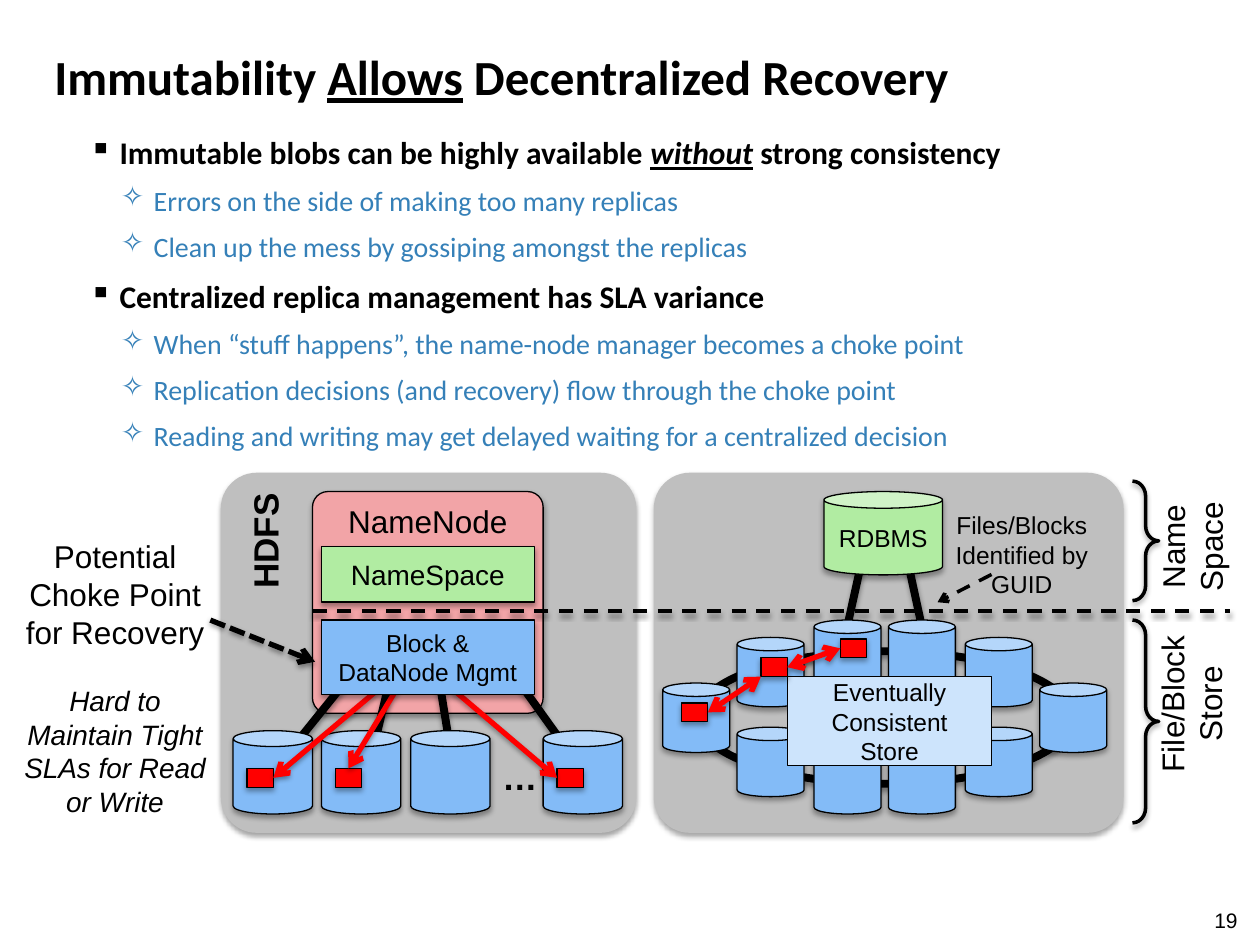
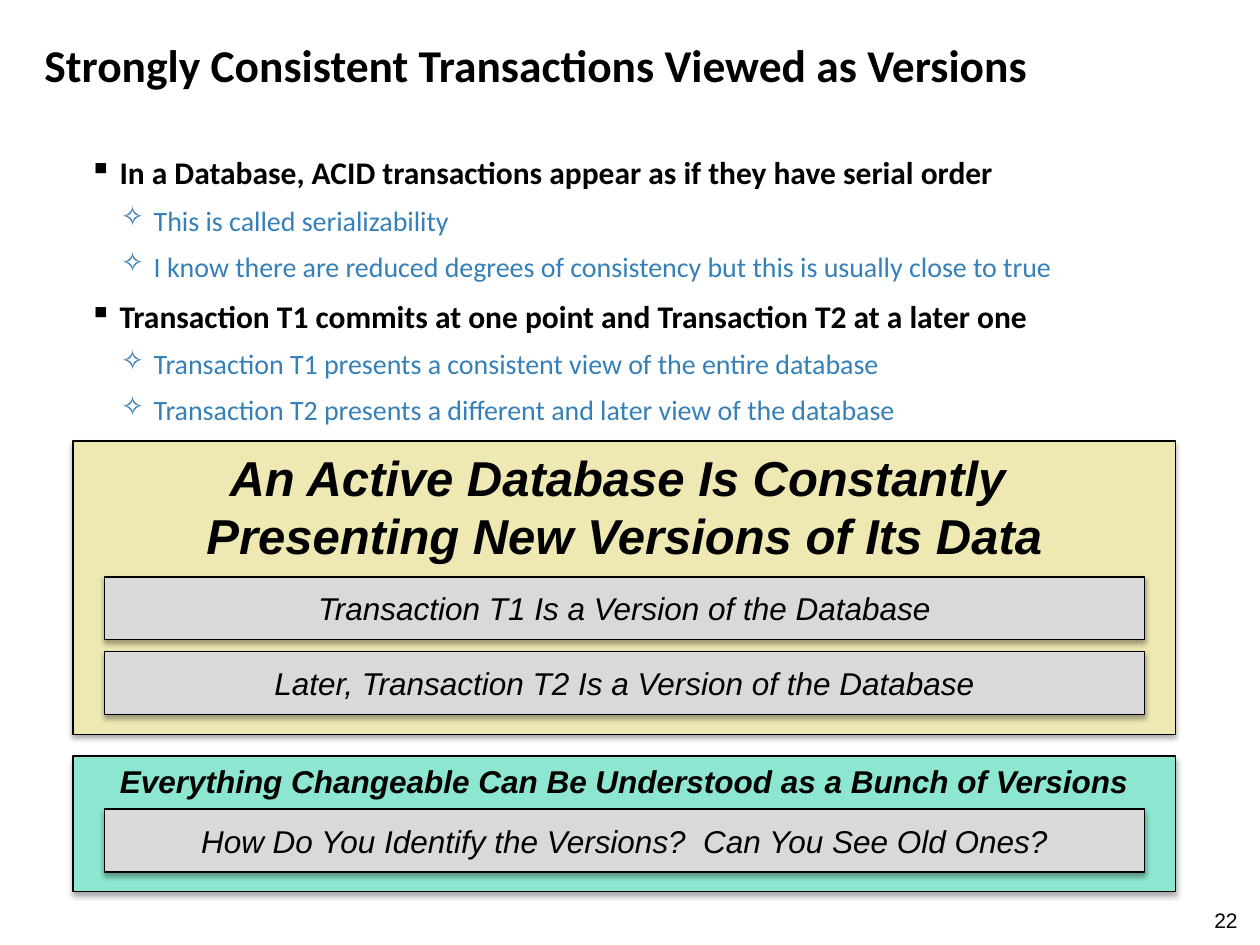
"""Build two slides on immutable storage and versioned databases."""
from lxml.etree import SubElement
from pptx import Presentation
from pptx.dml.color import RGBColor
from pptx.enum.dml import MSO_LINE as Dash
from pptx.enum.shapes import MSO_CONNECTOR as Link, MSO_SHAPE as Shape
from pptx.enum.text import MSO_ANCHOR as Anchor, PP_ALIGN as Align
from pptx.oxml.ns import qn
from pptx.util import Cm, Pt

BLACK = RGBColor(0x00, 0x00, 0x00)
STEEL = RGBColor(0x35, 0x80, 0xB8)
RED = RGBColor(0xFF, 0x00, 0x00)
GRAY = RGBColor(0xBF, 0xBF, 0xBF)
SILVER = RGBColor(0xD9, 0xD9, 0xD9)
BLUE = RGBColor(0x83, 0xBB, 0xF7)
PALE_BLUE = RGBColor(0xCD, 0xE4, 0xFC)
GREEN = RGBColor(0xB1, 0xEC, 0xA2)
PINK = RGBColor(0xF2, 0xA4, 0xA7)
YELLOW = RGBColor(0xEE, 0xE9, 0xB3)
TEAL = RGBColor(0x8C, 0xE6, 0xD0)

TOP, LEFT, RIGHT = 0, 1, 3
HEADING_FONT, LABEL_FONT = "Calibri", "Arial"
OUTLINE_LEVELS = (
    {"bullet": "▪", "margin": 0.61, "hang": 0.61, "size": 18, "color": BLACK, "bold": True},
    {"bullet": "✧", "margin": 1.3, "hang": 0.66, "size": 16, "color": STEEL, "bold": False},
)


class SlideBuilder:
    """Hold the shared style and the slide being drawn."""

    def __init__(self, deck):
        self.deck = deck
        self.page = None

    def start(self, title, place, size, number, emphasis=""):
        """Add a slide with its title and slide number."""
        self.page = self.deck.slides.add_slide(self.deck.slide_layouts[5])
        box = self.page.shapes.title
        box.left, box.top, box.width, box.height = map(Cm, place)
        box.text_frame.vertical_anchor = Anchor.MIDDLE
        para = box.text_frame.paragraphs[0]
        para.alignment = Align.LEFT
        self.add_spans(para, title, emphasis, HEADING_FONT, size, bold=True)
        self.label(str(number), (22.23, 18.03, 2.97, 1.02), 12, align=Align.RIGHT)

    def add_spans(self, para, text, emphasis, font, size, color=BLACK, bold=False,
                  slanted=False):
        """Fill a paragraph, underlining the emphasised word."""
        for part in text.partition(emphasis) if emphasis else (text,):
            span = para.add_run()
            span.text = part
            self.style(span, font, size, color, bold)
            if part == emphasis:
                span.font.underline = True
                span.font.italic = slanted

    def style(self, span, font, size, color=BLACK, bold=False, italic=False):
        """Format one run."""
        span.font.name = font
        span.font.size = Pt(size)
        span.font.color.rgb = color
        span.font.bold = bold
        span.font.italic = italic

    def outline(self, top, lines):
        """Add the two-level bullet list."""
        frame = self.page.shapes.add_textbox(Cm(1.42), Cm(top), Cm(22.71), Cm(15.24)).text_frame
        frame.word_wrap = True
        frame.margin_left = frame.margin_right = Cm(0.38)
        frame.margin_top = frame.margin_bottom = Cm(0.2)
        for index, (depth, text, *emphasis) in enumerate(lines):
            para = frame.add_paragraph() if index else frame.paragraphs[0]
            level = OUTLINE_LEVELS[depth]
            para.level = depth
            props = para._p.get_or_add_pPr()
            props.set("marL", str(Cm(level["margin"])))
            props.set("indent", str(-Cm(level["hang"])))
            SubElement(props, qn("a:buChar"), char=level["bullet"])
            para.line_spacing = 1.2
            if index:
                para.space_before = Pt(level["size"] * 0.2)
            self.add_spans(para, text, "".join(emphasis), HEADING_FONT, level["size"],
                           level["color"], level["bold"], slanted=True)

    def fill_text(self, box, text, size, bold=False, italic=False,
                  align=Align.CENTER, anchor=Anchor.MIDDLE):
        """Set and format the text of a box."""
        frame = box.text_frame
        frame.word_wrap = True
        frame.vertical_anchor = anchor
        frame.text = text
        para = frame.paragraphs[0]
        para.alignment = align
        for span in para.runs:
            self.style(span, LABEL_FONT, size, BLACK, bold, italic)

    def label(self, text, place, size, turned=False, **look):
        """Add a plain text box, optionally reading upwards."""
        box = self.page.shapes.add_textbox(*map(Cm, place))
        box.rotation = 270 if turned else 0
        self.fill_text(box, text, size, **look)

    def effects(self, item, shadow, opacity, distance):
        """Set a soft shadow below an element, or none."""
        effects = SubElement(item._element.spPr, qn("a:effectLst"))
        if shadow:
            outer = SubElement(effects, qn("a:outerShdw"), blurRad=str(Pt(3.1)),
                               dist=str(Pt(distance)), dir="5400000", rotWithShape="0")
            color = SubElement(outer, qn("a:srgbClr"), val=str(BLACK))
            SubElement(color, qn("a:alpha"), val=str(opacity * 1000))

    def shape(self, kind, place, fill=None, line=0.75, adjust=None, shadow=True,
              text="", size=18, **look):
        """Add a preset shape with fill, outline, shadow and text."""
        box = self.page.shapes.add_shape(kind, *map(Cm, place))
        if adjust is not None:
            box.adjustments[0] = adjust
        if fill is None:
            box.fill.background()
        else:
            box.fill.solid()
            box.fill.fore_color.rgb = fill
        if line:
            box.line.color.rgb = BLACK
            box.line.width = Pt(line)
        else:
            box.line.fill.background()
        self.effects(box, shadow, 35, 1.8)
        if text:
            self.fill_text(box, text, size, **look)
        return box

    def can(self, place, fill=BLUE, **look):
        """Add a storage cylinder."""
        self.shape(Shape.CAN, place, fill, adjust=0.2, **look)

    def replica(self, left, top):
        """Add a red replica marker."""
        return self.shape(Shape.RECTANGLE, (left, top, 0.53, 0.38), RED)

    def line(self, start, end, color=BLACK, width=4.5, dash=None, heads="",
             shadow=True, begin=None, finish=None):
        """Add a straight line; begin and finish are (shape, side) joints."""
        line = self.page.shapes.add_connector(Link.STRAIGHT, *map(Cm, (*start, *end)))
        if begin:
            line.begin_connect(*begin)
        if finish:
            line.end_connect(*finish)
        line.line.color.rgb = color
        line.line.width = Pt(width)
        if dash:
            line.line.dash_style = dash
        for head in heads.split():
            SubElement(line.line._get_or_add_ln(), qn(f"a:{head}"), type="arrow")
        self.effects(line, shadow, 38, 1.6)


def draw_peer_store(builder):
    """Draw the decentralized store on the right."""
    builder.shape(Shape.ROUNDED_RECTANGLE, (13.18, 9.53, 9.47, 7.26), GRAY, line=0, adjust=0.1)
    for foot, head in ((18.72, 18.19), (16.94, 17.48)):
        builder.line((foot, 13.26), (head, 10.82))
    builder.shape(Shape.OVAL, (14.05, 13.13, 7.57, 2.67), line=4.5)
    columns = (13.36, 14.86, 16.41, 17.91, 19.46, 20.96)
    for left, top in zip(columns, (13.77, 14.66, 15.01, 15.01, 14.66, 13.77)):
        builder.can((left, top, 1.35, 1.4))
    for left, top in zip(columns[4:0:-1], (12.85, 12.5, 12.5, 12.85)):
        builder.can((left, top, 1.35, 1.4))
    builder.shape(Shape.RECTANGLE, (15.88, 13.64, 4.11, 1.8), PALE_BLUE, shadow=False,
                  text="Eventually Consistent Store", size=14)
    builder.can((16.61, 9.91, 2.39, 1.68), GREEN, text="RDBMS", size=14)
    builder.label("Files/Blocks Identified by GUID", (18.9, 10.39, 3.4, 1.57), 14)
    builder.line((19.99, 11.58), (18.9, 12.14), width=2, dash=Dash.DASH,
                 heads="tailEnd", shadow=False)


def draw_name_node(builder):
    """Draw the centralized store on the left."""
    builder.shape(Shape.ROUNDED_RECTANGLE, (4.45, 9.53, 8.38, 7.26), GRAY, line=0, adjust=0.1)
    builder.shape(Shape.ROUNDED_RECTANGLE, (6.3, 9.91, 4.65, 4.47), PINK, adjust=0.07,
                  text="NameNode", anchor=Anchor.TOP)
    builder.shape(Shape.RECTANGLE, (6.48, 11.02, 4.29, 1.12), GREEN, text="NameSpace", size=16)
    for foot, head in ((5.41, 7.21), (7.39, 7.92), (9.17, 8.81), (11.84, 10.24)):
        builder.line((foot, 15.67), (head, 13.44))
    for left in (4.7, 6.48, 8.28, 10.95):
        builder.can((left, 14.73, 1.6, 1.68))
    builder.label("…", (9.88, 15.29, 1.07, 0.74), 20, bold=True)
    builder.label("HDFS", (3.94, 10.11, 2.79, 1.6), 20, turned=True, bold=True)


def draw_tiers(builder):
    """Draw the divider and the braces naming the two tiers."""
    builder.line((6.3, 12.32), (24.79, 12.32), width=2, dash=Dash.DASH)
    for text, top, height, place in (
            ("Name Space", 9.7, 2.41, (22.71, 10.13, 2.62, 1.78)),
            ("File/Block Store", 12.5, 4.09, (22.33, 13.21, 3.35, 1.96))):
        builder.shape(Shape.RIGHT_BRACE, (22.83, top, 0.53, height), line=2, adjust=0.57)
        builder.label(text, place, 18, turned=True)


def draw_replication(builder):
    """Draw the replicas and the flows between them."""
    hub = (8.38, 13.26)
    managed = [builder.replica(left, 15.49) for left in (4.98, 6.76, 11.23)]
    for replica, side in zip(managed, (RIGHT, TOP, LEFT)):
        builder.line(hub, hub, RED, 3, heads="tailEnd", finish=(replica, side))
    low, middle, high = [builder.replica(*spot) for spot in
                         ((13.74, 14.17), (15.34, 13.26), (16.94, 12.88))]
    corner = (15.34, 13.64)
    for replica, begin in ((low, None), (middle, (high, LEFT))):
        builder.line(corner, corner, RED, 3, heads="headEnd tailEnd",
                     begin=begin, finish=(replica, RIGHT))


def draw_choke_point(builder):
    """Draw the block manager and the remarks about it."""
    builder.label("Potential Choke Point for Recovery", (0.2, 10.8, 4.24, 2.34), 18)
    builder.line((4.24, 12.5), (6.35, 13.34), width=3, dash=Dash.SQUARE_DOT, heads="tailEnd")
    builder.shape(Shape.RECTANGLE, (6.48, 12.5, 4.29, 1.5), BLUE,
                  text="Block & DataNode Mgmt", size=14)
    builder.label("Hard to Maintain Tight SLAs for Read or Write",
                  (0.2, 13.97, 4.24, 2.34), 16, italic=True)


def recovery_slide(builder):
    """Build the slide on decentralized recovery."""
    builder.start("Immutability Allows Decentralized Recovery",
                  (0.84, 0.43, 22.86, 2.21), 28, 19, "Allows")
    builder.outline(2.34, (
        (0, "Immutable blobs can be highly available without strong consistency", "without"),
        (1, "Errors on the side of making too many replicas"),
        (1, "Clean up the mess by gossiping amongst the replicas"),
        (0, "Centralized replica management has SLA variance"),
        (1, "When “stuff happens”, the name-node manager becomes a choke point"),
        (1, "Replication decisions (and recovery) flow through the choke point"),
        (1, "Reading and writing may get delayed waiting for a centralized decision"),
    ))
    for draw in (draw_peer_store, draw_name_node, draw_tiers, draw_replication,
                 draw_choke_point):
        draw(builder)


def versions_slide(builder):
    """Build the slide on transactions as versions."""
    builder.start("Strongly Consistent Transactions Viewed as Versions",
                  (0.64, 0.2, 24.56, 2.21), 26, 22)
    builder.outline(2.74, (
        (0, "In a Database, ACID transactions appear as if they have serial order"),
        (1, "This is called serializability"),
        (1, "I know there are reduced degrees of consistency but this is usually close to true"),
        (0, "Transaction T1 commits at one point and Transaction T2 at a later one"),
        (1, "Transaction T1 presents a consistent view of the entire database"),
        (1, "Transaction T2 presents a different and later view of the database"),
    ))
    panels = (
        ("An Active Database Is Constantly \vPresenting New Versions of Its Data",
         28, YELLOW, 8.89, 5.92,
         ((11.63, "Transaction T1 Is a Version of the Database"),
          (13.13, "Later, Transaction T2 Is a Version of the Database"))),
        ("Everything Changeable Can Be Understood as a Bunch of Versions",
         18, TEAL, 15.24, 2.74,
         ((16.31, "How Do You Identify the Versions?  Can You See Old Ones?"),)),
    )
    for heading, size, fill, top, height, bars in panels:
        builder.shape(Shape.RECTANGLE, (1.47, top, 22.23, height), fill, text=heading,
                      size=size, bold=True, italic=True, anchor=Anchor.TOP)
        for bar_top, text in bars:
            builder.shape(Shape.RECTANGLE, (2.11, bar_top, 20.96, 1.27), SILVER,
                          text=text, italic=True)


def main():
    """Build and save the deck."""
    deck = Presentation()
    deck.slide_width, deck.slide_height = Cm(25.4), Cm(19.05)
    builder = SlideBuilder(deck)
    recovery_slide(builder)
    versions_slide(builder)
    deck.save("out.pptx")


if __name__ == "__main__":
    main()
